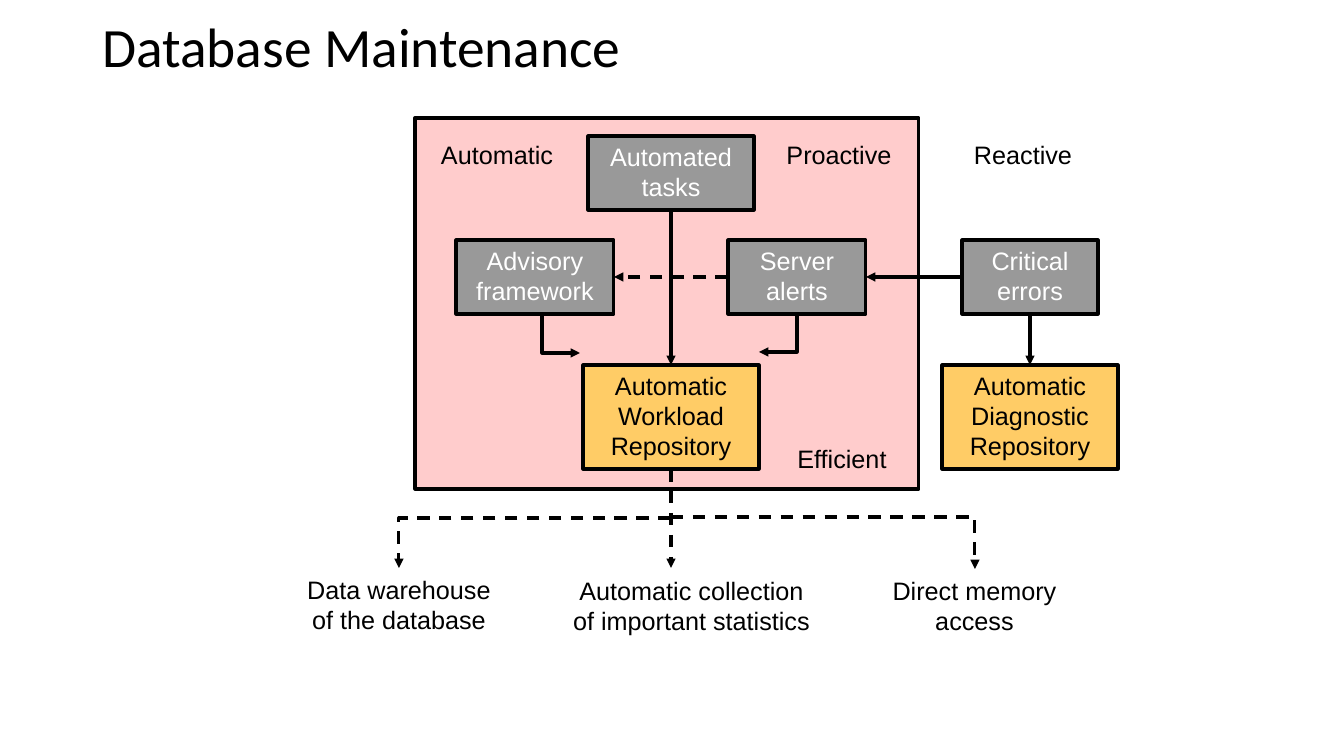
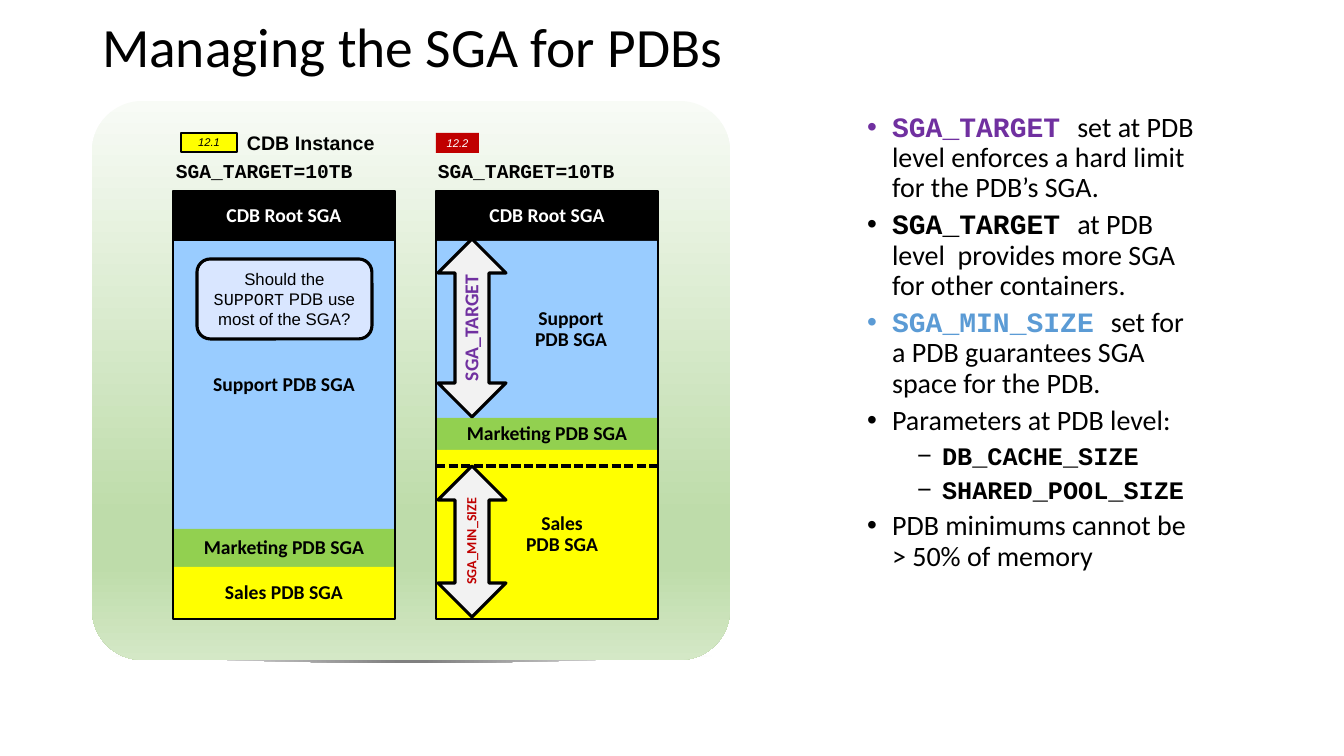
import math

import pptx
import pptx.dml.color
import pptx.enum.dml
import pptx.enum.shapes
import pptx.enum.text
import pptx.oxml
import pptx.oxml.ns
import pptx.util

SHAPE = pptx.enum.shapes.MSO_SHAPE
CONNECTOR = pptx.enum.shapes.MSO_CONNECTOR
DASH = pptx.enum.dml.MSO_LINE
ALIGN = pptx.enum.text.PP_ALIGN
ANCHOR = pptx.enum.text.MSO_ANCHOR
SCALE = 12192000 / 1344
BOTTOM, TOP, LEFT, RIGHT = 2, 0, 1, 3

BLACK, WHITE, PURPLE, RED = "000000", "FFFFFF", "7030A0", "C00000"
PINK, GRAY, ORANGE = "FFCCCC", "999999", "FFCC66"
BLUE, GREEN, YELLOW = "99CCFF", "92D050", "FFFF00"

TITLE_FONT = {"name": "Calibri", "size": 39.6, "color": BLACK}
DIAGRAM_FONT = {"name": "Arial", "size": 18, "color": BLACK}
BAND_FONT = {"name": "Calibri", "size": 14, "bold": True, "color": BLACK}
CODE_FONT = {"name": "Courier New", "size": 14, "bold": True, "color": BLACK}
BODY_FONT = {"name": "Calibri", "size": 20, "bold": False, "color": BLACK}
BODY_CODE = {"name": "Courier New", "bold": True}

MAINTENANCE_PANEL = (415, 118, 504, 371)
MAINTENANCE_BOXES = {
    "tasks": ("Automated\ntasks", (588, 136, 166, 74), GRAY, WHITE),
    "advisory": ("Advisory\nframework", (456, 240, 158, 74), GRAY, WHITE),
    "alerts": ("Server alerts", (728, 240, 138, 74), GRAY, WHITE),
    "errors": ("Critical errors", (962, 240, 136, 74), GRAY, WHITE),
    "workload": ("Automatic\nWorkload Repository", (583, 365, 176, 104), ORANGE, BLACK),
    "diagnostic": ("Automatic\nDiagnostic Repository", (942, 365, 176, 104), ORANGE, BLACK),
}
MAINTENANCE_LABELS = [
    ("Automatic", (424, 134, 146, 40)),
    ("Proactive", (776, 134, 126, 40)),
    ("Reactive", (961, 134, 124, 40)),
    ("Efficient", (787, 438, 110, 40)),
    ("Data warehouse\nof the database", (292, 569, 214, 71)),
    ("Automatic collection\nof important statistics", (562, 570, 259, 71)),
    ("Direct memory\naccess", (882, 570, 185, 71)),
]
JOINED_ARROWS = [
    ("tasks", BOTTOM, "workload", TOP, None),
    ("errors", BOTTOM, "diagnostic", TOP, None),
    ("errors", LEFT, "alerts", RIGHT, None),
    ("alerts", LEFT, "advisory", RIGHT, DASH.DASH),
]
CORNER_ARROWS = [
    [(542, 314), (542, 353), (580, 353)],
    [(797, 314), (797, 352), (759, 352)],
]
OUTLET_BRANCHES = [((671, 518), (399, 568)), ((671, 517), (975, 569))]
OUTLET_END = (671, 568)

SGA_PANEL = (92, 101, 638, 559)
PANEL_STOPS = [(0, "F8FBF6"), (74, "BEDCAA"), (83, "BEDCAA"), (100, "D4E8C6")]
SHADOW_STOPS = [(4, "808080"), (100, WHITE)]
LINEAR = '<a:lin ang="5400000" scaled="0"/>'
CIRCLE = '<a:path path="circle"><a:fillToRect l="50000" t="50000" r="50000" b="50000"/></a:path>'
COLUMN_TOP, COLUMN_WIDTH, COLUMN_HEIGHT = 191, 222, 428
SGA_COLUMNS = [
    (173, [
        (["CDB Root SGA"], 50, BLACK, WHITE, 10),
        (["Support PDB SGA"], 288, BLUE, BLACK, 10),
        (["Marketing PDB SGA"], 38, GREEN, BLACK, 10),
        (["Sales PDB SGA"], 52, YELLOW, BLACK, 10),
    ]),
    (436, [
        (["CDB Root SGA"], 50, BLACK, WHITE, 10),
        (["Support", "PDB SGA"], 177, BLUE, BLACK, 58),
        (["Marketing PDB SGA"], 32, GREEN, BLACK, 10),
        (["Sales", "PDB SGA"], 169, YELLOW, BLACK, 40),
    ]),
]
VERSION_TAGS = [
    ("12.1", (181, 133, 56, 19), YELLOW, BLACK, BLACK),
    ("12.2", (436, 133, 43, 20), RED, WHITE, None),
]
SGA_LABELS = [
    ("CDB Instance", (237, 126, 182, 34), {"name": "Arial"}),
    ("SGA_TARGET=10TB", (166, 154, 198, 34), {}),
    ("SGA_TARGET=10TB", (428, 154, 198, 34), {}),
]
SIZE_ARROWS = [
    ("SGA_TARGET", (438, 239, 68, 178), 14, PURPLE),
    ("SGA_MIN_SIZE", (438, 466, 68, 151), 10, RED),
]
MINIMUM_LINE = ((436, 466), (658, 466))
QUESTION = [("Should the ", {}), ("SUPPORT", {"name": "Courier New"}),
            (" PDB use most of the SGA?", {})]
BODY_BOX = (806, 108, 405, 537)
BULLETS = [
    (1, [("SGA_TARGET ", {**BODY_CODE, "color": PURPLE}),
         ("set at PDB level enforces a hard limit for the PDB’s SGA.", {})]),
    (1, [("SGA_TARGET ", BODY_CODE),
         ("at PDB level  provides more SGA for other containers.", {})]),
    (1, [("SGA_MIN_SIZE ", {**BODY_CODE, "color": "5B9BD5"}),
         ("set for a PDB guarantees SGA space for the PDB.", {})]),
    (1, [("Parameters at PDB level:", {})]),
    (2, [("DB_CACHE_SIZE", {**BODY_CODE, "size": 18})]),
    (2, [("SHARED_POOL_SIZE", {**BODY_CODE, "size": 18})]),
    (1, [("PDB minimums cannot be > 50% of memory", {})]),
]
BULLET_LEVELS = {1: ("•", 76), 2: ("−", 126)}


def px(value):
    return round(value * SCALE)


def rgb(value):
    return pptx.dml.color.RGBColor.from_string(value)


def element(xml):
    return pptx.oxml.parse_xml(xml.replace(">", f' {pptx.oxml.ns.nsdecls("a")}>', 1)
                               if not xml.endswith("/>") or xml.count("<") > 1
                               else xml[:-2] + f' {pptx.oxml.ns.nsdecls("a")}/>')


def place(shape, box):
    for name, value in zip(("left", "top", "width", "height"), box):
        setattr(shape, name, px(value))


def set_frame(shape, **values):
    for name, value in values.items():
        setattr(shape.text_frame, name, px(value) if name.startswith("margin") else value)


def write(shape, paragraphs, font, **formats):
    frame = shape.text_frame
    for index, runs in enumerate(paragraphs):
        paragraph = frame.add_paragraph() if index else frame.paragraphs[0]
        for name, value in formats.items():
            setattr(paragraph, name, value)
        for text, changes in [(runs, {})] if isinstance(runs, str) else runs:
            for number, part in enumerate(text.split("\n")):
                if number:
                    paragraph.add_line_break()
                run = paragraph.add_run()
                run.text = part
                for name, value in {**font, **changes}.items():
                    if name == "color":
                        run.font.color.rgb = rgb(value)
                    else:
                        setattr(run.font, name, pptx.util.Pt(value) if name == "size" else value)
    return frame


def style_line(shape, width=2.25, color=BLACK, dash=None):
    shape.line.color.rgb = rgb(color)
    shape.line.width = pptx.util.Pt(width)
    if dash:
        shape.line.dash_style = dash


def add_box(slide, box, fill=None, line=None, width=2.25, kind=SHAPE.RECTANGLE):
    shape = slide.shapes.add_shape(kind, *map(px, box))
    shape.shadow.inherit = False
    if fill:
        shape.fill.solid()
        shape.fill.fore_color.rgb = rgb(fill)
    else:
        shape.fill.background()
    if line:
        style_line(shape, width, line)
    else:
        shape.line.fill.background()
    return shape


def add_label(slide, box):
    return slide.shapes.add_textbox(*map(px, box))


def add_arrowhead(shape):
    shape.line._get_or_add_ln().append(element('<a:tailEnd type="triangle"/>'))


def add_line(slide, start, end, dash=None, kind=CONNECTOR.STRAIGHT):
    connector = slide.shapes.add_connector(kind, *map(px, (*start, *end)))
    style_line(connector, dash=dash)
    connector._element.spPr.append(element("<a:effectLst/>"))
    return connector


def add_outline(slide, points, close):
    points = [(px(x), px(y)) for x, y in points]
    builder = slide.shapes.build_freeform(*points[0])
    builder.add_line_segments(points[1:], close=close)
    shape = builder.convert_to_shape()
    shape.shadow.inherit = False
    return shape


def fill_gradient(shape, stops, direction):
    marks = "".join(f'<a:gs pos="{position * 1000}"><a:srgbClr val="{color}"/></a:gs>'
                    for position, color in stops)
    shape.fill.background()
    properties = shape._element.spPr
    empty = properties.find(pptx.oxml.ns.qn("a:noFill"))
    gradient = element(f'<a:gradFill rotWithShape="1"><a:gsLst>{marks}</a:gsLst>{direction}</a:gradFill>')
    properties.replace(empty, gradient)
    shape.line.fill.background()


def add_slide(presentation, layout, title):
    slide = presentation.slides.add_slide(presentation.slide_layouts[layout])
    place(slide.shapes.title, (92, 20, 1160, 60))
    set_frame(slide.shapes.title, vertical_anchor=ANCHOR.MIDDLE, word_wrap=True,
              auto_size=pptx.enum.text.MSO_AUTO_SIZE.NONE)
    write(slide.shapes.title, [title], TITLE_FONT, alignment=ALIGN.LEFT, line_spacing=0.9)
    return slide


def build_maintenance(presentation):
    slide = add_slide(presentation, 5, "Database Maintenance")
    add_box(slide, MAINTENANCE_PANEL, PINK, BLACK)
    boxes = {}
    for name, (text, box, fill, color) in MAINTENANCE_BOXES.items():
        boxes[name] = add_box(slide, box, fill, BLACK)
        set_frame(boxes[name], vertical_anchor=ANCHOR.TOP, word_wrap=True)
        write(boxes[name], [text], {**DIAGRAM_FONT, "color": color}, alignment=ALIGN.CENTER)
    for text, box in MAINTENANCE_LABELS:
        label = add_label(slide, box)
        set_frame(label, word_wrap=True)
        write(label, [text], DIAGRAM_FONT, alignment=ALIGN.CENTER)
    for source, source_side, target, target_side, dash in JOINED_ARROWS:
        arrow = add_line(slide, (0, 0), (0, 0), dash)
        arrow.begin_connect(boxes[source], source_side)
        arrow.end_connect(boxes[target], target_side)
        add_arrowhead(arrow)
    for points in CORNER_ARROWS:
        corner = add_outline(slide, points, False)
        corner.fill.background()
        style_line(corner)
        add_arrowhead(corner)
    outlet = add_line(slide, OUTLET_END, OUTLET_END, DASH.DASH)
    outlet.begin_connect(boxes["workload"], BOTTOM)
    add_arrowhead(outlet)
    for start, end in OUTLET_BRANCHES:
        branch = add_line(slide, start, end, DASH.DASH, CONNECTOR.ELBOW)
        branch._element.spPr.find(pptx.oxml.ns.qn("a:prstGeom")).set("prst", "bentConnector2")
        add_arrowhead(branch)


def add_column(slide, left, bands):
    top = COLUMN_TOP
    for lines, height, fill, color, margin in bands:
        band = add_box(slide, (left, top, COLUMN_WIDTH, height), fill)
        set_frame(band, vertical_anchor=ANCHOR.MIDDLE, margin_left=margin)
        write(band, lines, {**BAND_FONT, "color": color}, alignment=ALIGN.CENTER, line_spacing=0.9)
        top += height
    add_box(slide, (left, COLUMN_TOP, COLUMN_WIDTH, COLUMN_HEIGHT), None, BLACK, 1.5)


def add_bullets(slide):
    body = slide.placeholders[1]
    place(body, BODY_BOX)
    set_frame(body, word_wrap=True, auto_size=pptx.enum.text.MSO_AUTO_SIZE.NONE)
    frame = write(body, [runs for _, runs in BULLETS], BODY_FONT, line_spacing=0.9)
    for index, (paragraph, (level, _)) in enumerate(zip(frame.paragraphs, BULLETS)):
        mark, indent = BULLET_LEVELS[level]
        paragraph.level = level
        paragraph.space_before = pptx.util.Pt(5 if index else 0)
        properties = paragraph._p.get_or_add_pPr()
        properties.set("marL", str(px(indent)))
        properties.set("indent", str(px(-25)))
        properties.append(element('<a:buFont typeface="Arial"/>'))
        properties.append(element(f'<a:buChar char="{mark}"/>'))


def build_sga(presentation):
    slide = add_slide(presentation, 1, "Managing the SGA for PDBs")
    curve = [(107 + 609 * step / 40, 656 + 7 * math.sin(math.pi * step / 40)) for step in range(41)]
    fill_gradient(add_outline(slide, curve, True), SHADOW_STOPS, CIRCLE)
    panel = add_box(slide, SGA_PANEL, kind=SHAPE.ROUNDED_RECTANGLE)
    panel.adjustments[0] = 0.09
    fill_gradient(panel, PANEL_STOPS, LINEAR)
    for left, bands in SGA_COLUMNS:
        add_column(slide, left, bands)
    for text, box, fill, color, line in VERSION_TAGS:
        tag = add_box(slide, box, fill, line, 1)
        set_frame(tag, vertical_anchor=ANCHOR.MIDDLE, margin_left=0, margin_right=0,
                  margin_top=0, margin_bottom=0)
        write(tag, [text], {"name": "Arial", "size": 8, "italic": True, "color": color},
              alignment=ALIGN.CENTER)
    for text, box, changes in SGA_LABELS:
        label = add_label(slide, box)
        set_frame(label, word_wrap=False)
        write(label, [text], {**CODE_FONT, **changes}, alignment=ALIGN.LEFT)
    callout = add_box(slide, (197, 259, 175, 80), "D9E6FF", BLACK, kind=SHAPE.ROUNDED_RECTANGLE)
    set_frame(callout, vertical_anchor=ANCHOR.MIDDLE, word_wrap=True)
    write(callout, [QUESTION], {"name": "Arial", "size": 12, "color": BLACK}, alignment=ALIGN.CENTER)
    for text, box, size, color in SIZE_ARROWS:
        arrow = add_box(slide, box, "F2F2F2", BLACK, kind=SHAPE.UP_DOWN_ARROW)
        set_frame(arrow, vertical_anchor=ANCHOR.MIDDLE, word_wrap=False)
        arrow.text_frame._txBody.bodyPr.set("vert", "vert270")
        write(arrow, [text], {**BAND_FONT, "size": size, "color": color},
              alignment=ALIGN.CENTER, line_spacing=0.9)
    add_line(slide, *MINIMUM_LINE, DASH.SQUARE_DOT)
    add_bullets(slide)


def main():
    presentation = pptx.Presentation()
    presentation.slide_width, presentation.slide_height = px(1344), px(756)
    build_maintenance(presentation)
    build_sga(presentation)
    presentation.save("out.pptx")


if __name__ == "__main__":
    main()
